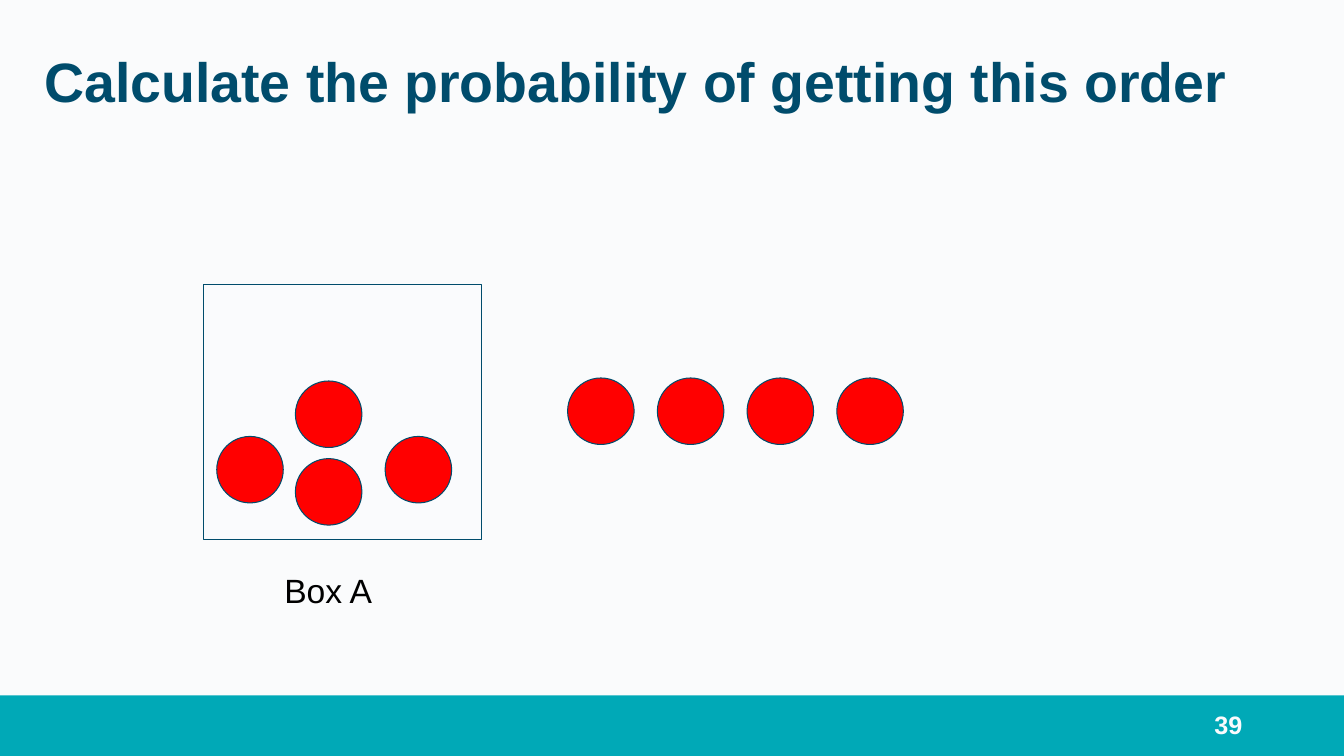
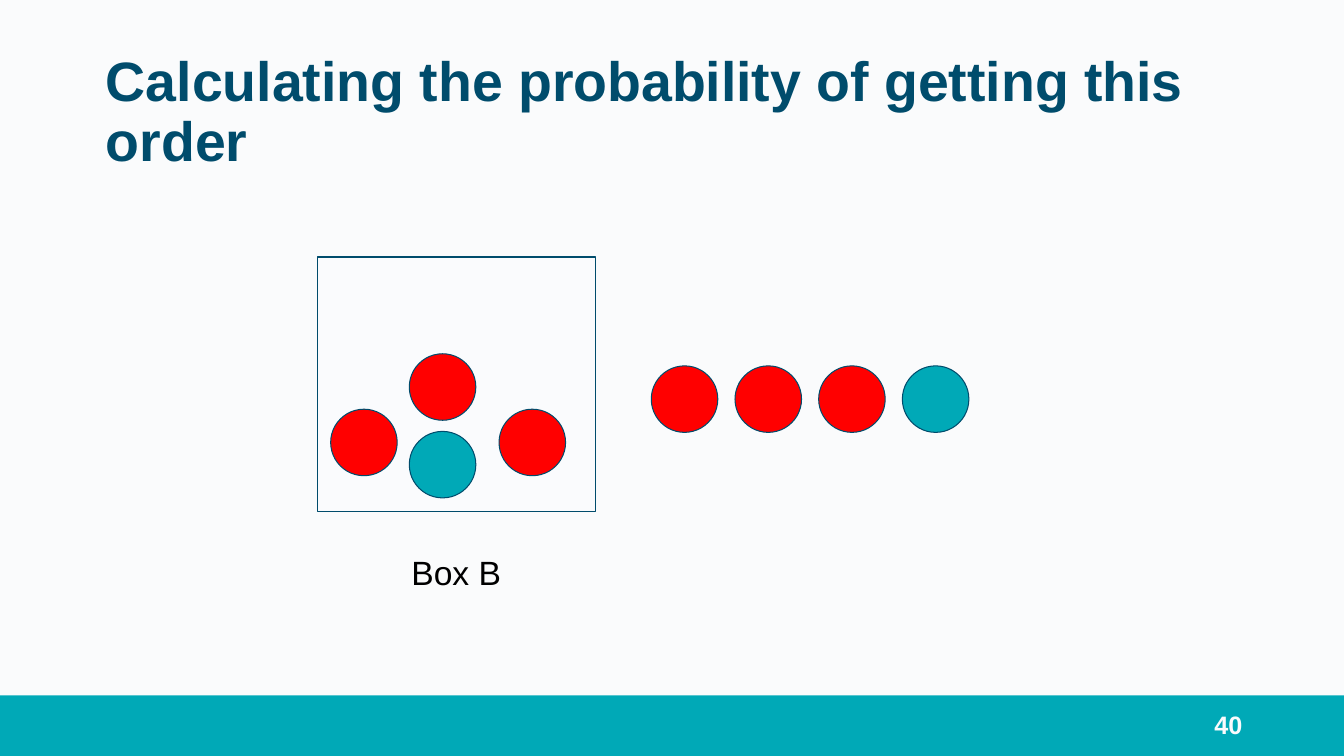
from pptx import Presentation
from pptx.dml.color import RGBColor
from pptx.enum.shapes import MSO_SHAPE
from pptx.enum.text import MSO_ANCHOR, PP_ALIGN
from pptx.util import Inches, Pt

RECT, OVAL = MSO_SHAPE.RECTANGLE, MSO_SHAPE.OVAL
LEFT, CENTER, RIGHT = PP_ALIGN.LEFT, PP_ALIGN.CENTER, PP_ALIGN.RIGHT
TOP, MIDDLE = MSO_ANCHOR.TOP, MSO_ANCHOR.MIDDLE

COLORS = {"bg": "FAFBFC", "paper": "FAFBFD", "teal": "00A9B7",
          "navy": "004C6C", "red": "FF0000", "black": "000000"}
FONT = "Arial"
SLIDE_W, SLIDE_H, BAND_H = 13.33, 7.5, 0.6
BALL = 0.66
# Ball positions inside a box, measured from its top left corner
BOX_BALLS = [(0.13, 1.51), (0.91, 1.73), (1.8, 1.51), (0.91, 0.96)]


def rgb(name):
    return RGBColor.from_string(COLORS[name])


class Deck:
    def __init__(self):
        self.prs = Presentation()
        self.prs.slide_width = Inches(SLIDE_W)
        self.prs.slide_height = Inches(SLIDE_H)
        self.s = None

    def slide(self, title, number, title_at):
        """Start a slide with its background, band, title and number."""
        self.s = self.prs.slides.add_slide(self.prs.slide_layouts[6])
        fill = self.s.background.fill
        fill.solid()
        fill.fore_color.rgb = rgb("bg")
        self.shape(RECT, (0, SLIDE_H - BAND_H, SLIDE_W, BAND_H), "teal", None)
        p = self.text(title, title_at, 39.6, "navy", bold=True)
        p.line_spacing = 0.9
        self.text(str(number), (9.42, 6.99, 3, 0.4), 18, "paper", bold=True,
                  align=RIGHT, anchor=MIDDLE, insets=(0.1, 0.05))

    def shape(self, kind, at, fill, line="navy"):
        sp = self.s.shapes.add_shape(kind, *map(Inches, at))
        sp.shadow.inherit = False
        sp.fill.solid()
        sp.fill.fore_color.rgb = rgb(fill)
        if line:
            sp.line.color.rgb = rgb(line)
            sp.line.width = Pt(0.75)
        else:
            sp.line.fill.background()

    def text(self, words, at, size, color, bold=False, align=LEFT,
             anchor=TOP, insets=(0.13, 0.13)):
        """Add a one-paragraph text box and return the paragraph."""
        tf = self.s.shapes.add_textbox(*map(Inches, at)).text_frame
        tf.word_wrap = True
        tf.vertical_anchor = anchor
        tf.margin_left = tf.margin_right = Inches(insets[0])
        tf.margin_top = tf.margin_bottom = Inches(insets[1])
        p = tf.paragraphs[0]
        p.text = words
        p.alignment = align
        p.font.name, p.font.size, p.font.bold = FONT, Pt(size), bold
        p.font.color.rgb = rgb(color)
        return p

    def ball(self, x, y, color):
        self.shape(OVAL, (x, y, BALL, BALL), color)

    def box(self, x, y, colors, label, label_x, label_y):
        """Draw a labelled box holding one ball per colour."""
        self.shape(RECT, (x, y, 2.76, 2.53), "paper")
        for (dx, dy), color in zip(BOX_BALLS, colors):
            self.ball(x + dx, y + dy, color)
        self.text(label, (label_x, label_y, 1.37, 0.67), 24, "black",
                  align=CENTER)

    def order(self, x, y, step, colors):
        """Draw the drawn balls in a row."""
        for i, color in enumerate(colors):
            self.ball(x + i * step, y, color)


def main():
    deck = Deck()

    deck.slide("Calculate the probability of getting this order", 39,
               (0.31, 0.41, 12.42, 1.45))
    deck.box(2.02, 2.82, ["red"] * 4, "Box A", 2.57, 5.52)
    deck.order(5.63, 3.75, 0.89, ["red"] * 4)

    deck.slide("Calculating the probability of getting this order", 40,
               (0.92, 0.4, 11.5, 1.45))
    deck.box(3.15, 2.55, ["red", "teal", "red", "red"], "Box B", 3.84, 5.35)
    deck.order(6.46, 3.63, 0.83, ["red"] * 3 + ["teal"])

    deck.prs.save("out.pptx")


if __name__ == "__main__":
    main()
